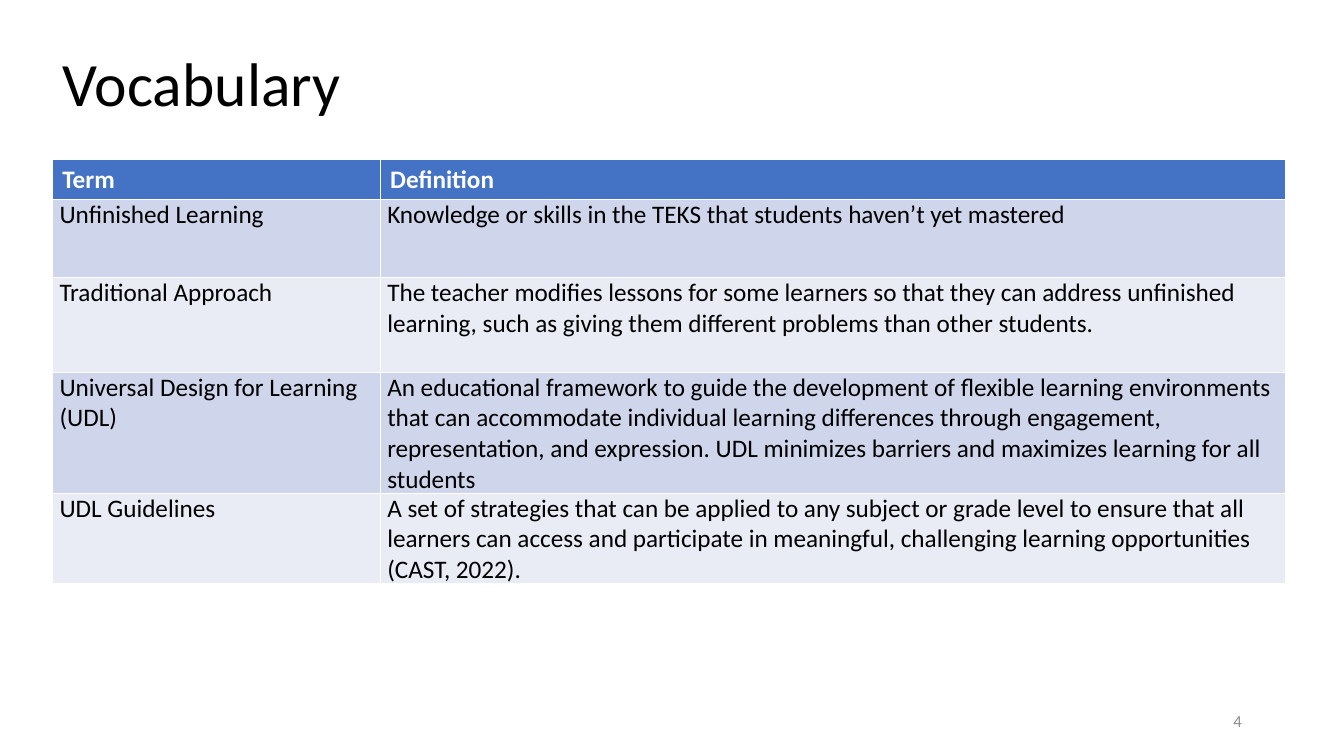
from pptx import Presentation
from pptx import util as u
from pptx.dml.color import RGBColor
from pptx.enum import text

FONT = "Calibri"
BLACK = RGBColor(0x00, 0x00, 0x00)
WHITE = RGBColor(0xFF, 0xFF, 0xFF)
GREY = RGBColor(0x8C, 0x8C, 0x8C)
HEADER_BLUE = RGBColor(0x44, 0x72, 0xC4)
BANDS = (RGBColor(0xCF, 0xD5, 0xEA), RGBColor(0xE9, 0xEB, 0xF5))

LEFT = 1.32
COLUMN_WIDTHS = (8.26, 22.81)
ROW_HEIGHTS = (0.99, 1.96, 2.39, 2.57, 1.8)

VOCABULARY = (
    ("Term", "Definition"),
    ("Unfinished Learning",
     "Knowledge or skills in the TEKS that students haven’t yet mastered"),
    ("Traditional Approach",
     "The teacher modifies lessons for some learners so that they can address "
     "unfinished learning, such as giving them different problems than other "
     "students."),
    ("Universal Design for Learning (UDL)",
     "An educational framework to guide the development of flexible learning "
     "environments that can accommodate individual learning differences through "
     "engagement, representation, and expression. UDL minimizes barriers and "
     "maximizes learning for all students"),
    ("UDL Guidelines",
     "A set of strategies that can be applied to any subject or grade level to "
     "ensure that all learners can access and participate in meaningful, "
     "challenging learning opportunities (CAST, 2022)."),
)


def write(frame, words, size, color, align=text.PP_ALIGN.LEFT, bold=False):
    frame.text = words
    para = frame.paragraphs[0]
    para.alignment = align
    for span in para.runs:
        span.font.name = FONT
        span.font.size = u.Pt(size)
        span.font.bold = bold
        span.font.color.rgb = color
    return para


def add_title(page, words):
    title = page.shapes.title
    title.left, title.top = u.Cm(LEFT), u.Cm(0.33)
    title.width, title.height = u.Cm(29.21), u.Cm(3.68)
    title.text_frame.vertical_anchor = text.MSO_ANCHOR.MIDDLE
    write(title.text_frame, words, 44, BLACK).line_spacing = 0.9


def add_page_number(page, number):
    box = page.shapes.add_textbox(u.Cm(23.93), u.Cm(17.65), u.Cm(7.62), u.Cm(1.02))
    box.text_frame.word_wrap = True
    box.text_frame.vertical_anchor = text.MSO_ANCHOR.MIDDLE
    write(box.text_frame, number, 12, GREY, text.PP_ALIGN.RIGHT)


def fill_cell(cell, words, row):
    """Format a cell as header for row 0, otherwise as a banded body cell."""
    header = row == 0
    cell.fill.solid()
    cell.fill.fore_color.rgb = HEADER_BLUE if header else BANDS[(row - 1) % 2]
    if not header:
        cell.margin_left = cell.margin_right = u.Cm(0.18)
        cell.margin_top = cell.margin_bottom = u.Cm(0)
    write(cell.text_frame, words, 18, WHITE if header else BLACK, bold=header)


def add_vocabulary_table(page):
    table = page.shapes.add_table(
        len(VOCABULARY), len(COLUMN_WIDTHS), u.Cm(LEFT), u.Cm(4.01),
        u.Cm(sum(COLUMN_WIDTHS)), u.Cm(sum(ROW_HEIGHTS))).table
    for column, width in zip(table.columns, COLUMN_WIDTHS):
        column.width = u.Cm(width)
    for row, (height, entry) in enumerate(zip(ROW_HEIGHTS, VOCABULARY)):
        table.rows[row].height = u.Cm(height)
        for column, words in enumerate(entry):
            fill_cell(table.cell(row, column), words, row)


def main():
    deck = Presentation()
    deck.slide_width, deck.slide_height = u.Cm(33.87), u.Cm(19.05)
    page = deck.slides.add_slide(deck.slide_layouts.get_by_name("Title Only"))
    add_title(page, "Vocabulary")
    add_page_number(page, "4")
    add_vocabulary_table(page)
    deck.save("out.pptx")


if __name__ == "__main__":
    main()
